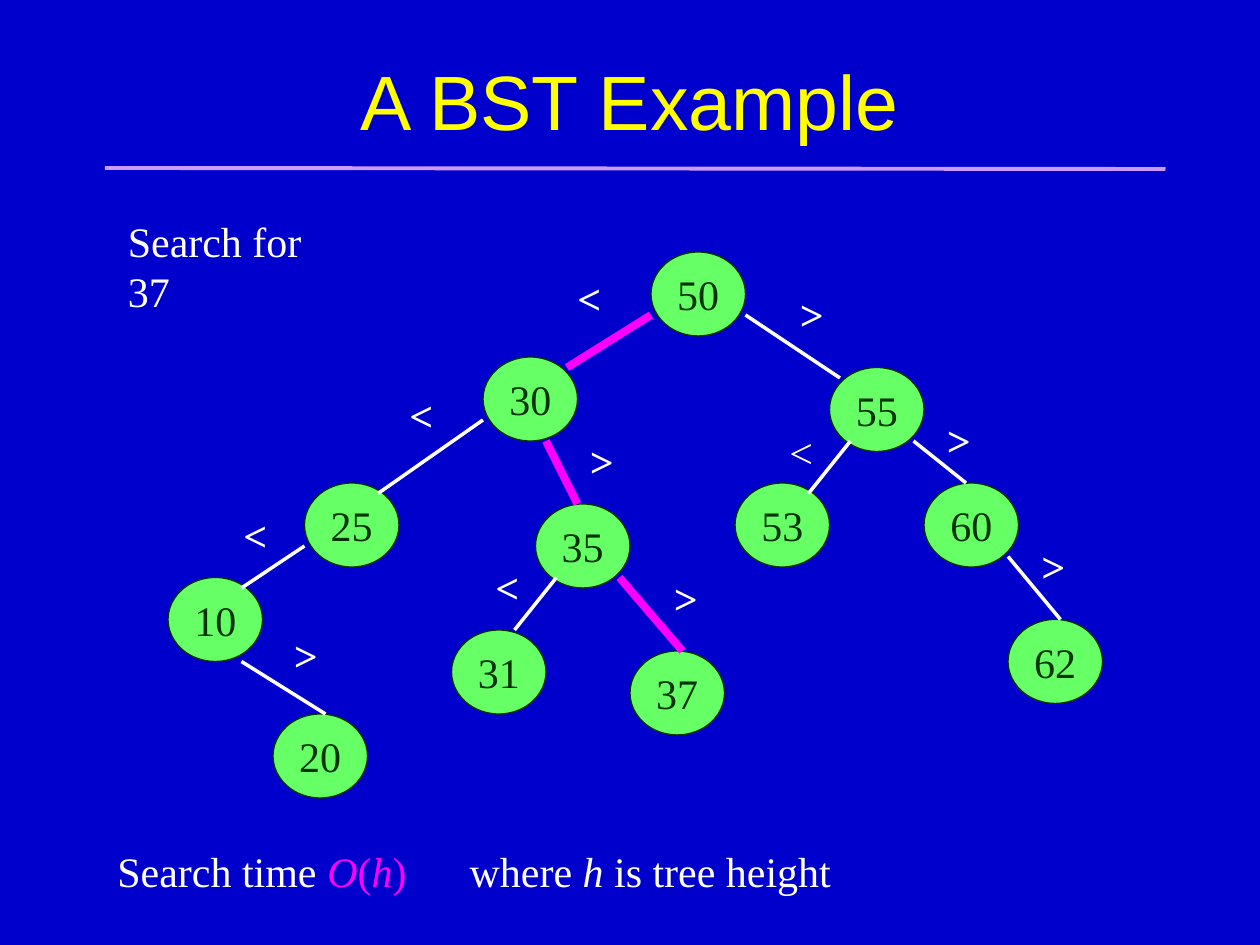
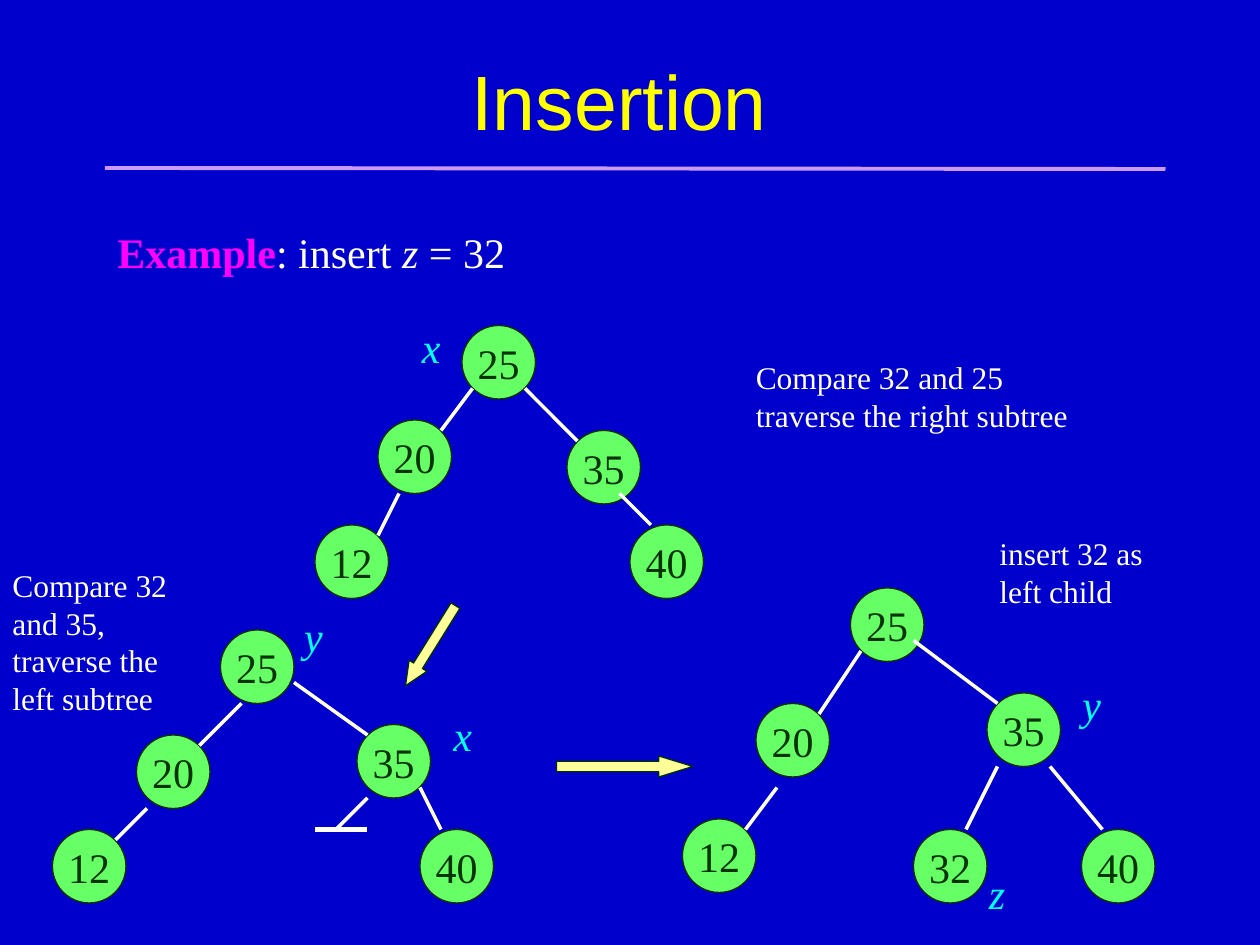
"""Builds two slides on binary search trees, placed on a grid of twelve steps to the inch."""
from dataclasses import dataclass

from lxml import etree
from pptx import Presentation
from pptx import util as u
from pptx.dml.color import RGBColor
from pptx.enum import shapes, text
from pptx.oxml.ns import qn


@dataclass(frozen=True)
class Theme:
    back: str = "0000CC"
    gold: str = "FFFF00"
    rule: str = "CC99FF"
    white: str = "FFFFFF"
    pink: str = "FF00FF"
    cyan: str = "00FFFF"
    green: str = "66FF66"
    dark: str = "003300"
    cream: str = "FFFF99"
    head: str = "Arial"
    body: str = "Times New Roman"
    big: int = 44
    mid: int = 24
    small: int = 18


T = Theme()


def rgb(code):
    return RGBColor.from_string(code)


def grid(*steps):
    return [u.Cm(n * 2.54 / 12) for n in steps]


class Deck:
    def __init__(self):
        self.prs = Presentation()
        self.prs.slide_width, self.prs.slide_height = u.Cm(25.4), u.Cm(19.05)
        fill = self.prs.slide_master.background.fill
        fill.solid()
        fill.fore_color.rgb = rgb(T.back)

    def font(self, font, size, color, face=T.body, style=""):
        font.name, font.size, font.color.rgb = face, u.Pt(size), rgb(color)
        font.bold, font.italic = "b" in style, "i" in style

    def words(self, par, runs, size, face=T.body):
        self.font(par.font, size, runs[0][1], face, runs[0][2])
        for part, color, style in runs:
            run = par.add_run()
            run.text = part
            self.font(run.font, size, color, face, style)

    def page(self, name, left):
        self.slide = self.prs.slides.add_slide(self.prs.slide_layouts[5])
        title = self.slide.shapes.title
        title.left, title.top, title.width, title.height = grid(left, 2, 102, 15)
        frame = title.text_frame
        frame.vertical_anchor = text.MSO_ANCHOR.MIDDLE
        par = frame.paragraphs[0]
        par.alignment = text.PP_ALIGN.CENTER
        self.words(par, [(name, T.gold, "")], T.big, T.head)
        self.line((10, 16, 111, 16.1), T.rule, 2.25)

    def line(self, ends, color=T.white, width=2):
        wire = self.slide.shapes.add_connector(
            shapes.MSO_CONNECTOR.STRAIGHT, *grid(*ends))
        wire.line.color.rgb, wire.line.width = rgb(color), u.Pt(width)
        etree.SubElement(wire.element.spPr, qn("a:effectLst"))

    def shape(self, kind, box, color):
        item = self.slide.shapes.add_shape(kind, *grid(*box))
        item.shadow.inherit = False
        item.fill.solid()
        item.fill.fore_color.rgb = rgb(color)
        item.line.color.rgb, item.line.width = rgb(T.dark), u.Pt(0.75)
        return item

    def node(self, key, box):
        frame = self.shape(shapes.MSO_SHAPE.OVAL, box, T.green).text_frame
        frame.margin_left = frame.margin_right = 0
        frame.word_wrap = False
        frame.vertical_anchor = text.MSO_ANCHOR.MIDDLE
        par = frame.paragraphs[0]
        par.alignment = text.PP_ALIGN.CENTER
        self.words(par, [(str(key), T.dark, "")], T.mid)

    def tree(self, nodes, edges, size):
        for key, left, top in nodes:
            self.node(key, (left, top, *size))
        for ends in edges:
            self.line(ends)

    def arrow(self, kind, box, tip, turn=0):
        item = self.shape(kind, box, T.cream)
        item.adjustments[0], item.adjustments[1] = 0.5, tip
        item.rotation = turn

    def note(self, box, rows, size=T.mid):
        frame = self.slide.shapes.add_textbox(*grid(*box)).text_frame
        frame.word_wrap = True
        for num, runs in enumerate(rows):
            par = frame.add_paragraph() if num else frame.paragraphs[0]
            self.words(par, runs, size)
        return frame

    def lines(self, box, *rows):
        self.note(box, [[(row, T.white, "")] for row in rows], T.small)

    def mark(self, sign, spot, color=T.white, style="b"):
        self.note((*spot, 5, 6), [[(sign, color, style)]])

    def tab(self, par, stop):
        props = par._p.get_or_add_pPr()
        tabs = etree.Element(qn("a:tabLst"))
        etree.SubElement(tabs, qn("a:tab"), pos=str(u.Cm(stop)), algn="l")
        props.insert(0, tabs)


def search(deck):
    deck.page("A BST Example", 9)
    nodes = [(50, 62, 24), (30, 46, 34), (25, 29, 46), (35, 51, 48),
             (10, 16, 55), (20, 26, 68), (31, 43, 60), (37, 60, 62),
             (55, 79, 35), (53, 70, 46), (60, 88, 46), (62, 96, 59)]
    edges = [(71, 30, 80, 36), (46, 40, 36, 47), (29, 52, 23, 56),
             (53, 55, 49, 60), (87, 42, 92, 46), (96, 53, 101, 59),
             (23, 63, 31, 68), (81, 42, 77, 47)]
    deck.tree(nodes, edges, (9, 8))
    for ends in [(62, 30, 54, 35), (52, 42, 55, 48), (59, 55, 65, 62)]:
        deck.line(ends, T.pink, 4.5)
    for spot in [(53.8, 25.4), (37.8, 36.5), (46, 52.9), (22, 47.9)]:
        deck.mark("<", spot)
    deck.mark("<", (74, 40), style="")
    for spot in [(26.8, 59.4), (55, 40.9), (63, 53.9), (98, 50.9),
                 (89, 38.9), (75, 26.9)]:
        deck.mark(">", spot)
    deck.note((11, 19.9, 23.3, 5.2), [[("Search for 37", T.white, "")]])
    frame = deck.note((10, 79.9, 71.3, 6), [[
        ("Search time ", T.white, ""), ("O", T.pink, "i"), ("(", T.pink, ""),
        ("h", T.pink, "i"), (")", T.pink, ""), ("\twhere ", T.white, ""),
        ("h", T.white, "i"), (" is tree height", T.white, "")]])
    deck.tab(frame.paragraphs[0], 7.1)


def insert(deck):
    deck.page("Insertion", 8)
    deck.note((10, 21, 43, 6), [[
        ("Example", T.pink, "b"), (": insert ", T.white, ""),
        ("z ", T.white, "i"), ("= 32", T.white, "")]])
    size = (7, 7)
    deck.tree([(25, 44, 31), (40, 60, 50), (20, 36, 40), (12, 30, 50), (35, 54, 41)],
              [(45, 37, 42, 41), (38, 47, 36, 51), (50, 37, 55, 42),
               (59, 47, 62, 50)], size)
    deck.tree([(40, 40, 79), (35, 34, 69), (12, 5, 79), (20, 13, 70), (25, 21, 60)],
              [(28, 65, 35, 70), (23, 67, 19, 71), (14, 77, 11, 80),
               (40, 75, 42, 79), (35, 76, 32, 79)], size)
    deck.line((30, 79, 35, 79), width=3)
    deck.tree([(32, 87, 79), (35, 94, 66), (12, 65, 78), (20, 72, 67),
               (25, 81, 56), (40, 103, 79)],
              [(95, 73, 92, 79), (82, 62, 78, 68), (74, 75, 71, 79),
               (87, 61, 95, 67), (100, 73, 105, 79)], size)
    for sign, *spot in [("x", 39, 30), ("x", 42, 67), ("y", 27.8, 57.6),
                        ("y", 101.9, 64), ("z", 93, 82)]:
        deck.mark(sign, spot, T.cyan, "i")
    deck.lines((70.8, 33.5, 35.8, 8.4), "Compare 32 and 25", "traverse the right subtree")
    deck.lines((0, 53.3, 19, 15.6),
               "Compare 32", "and 35,", "traverse the", "left subtree")
    deck.lines((94, 50.3, 18.7, 8.4), "insert 32 as", "left child")
    deck.arrow(shapes.MSO_SHAPE.DOWN_ARROW, (40, 57, 2, 9), 1.125, 31.9)
    deck.arrow(shapes.MSO_SHAPE.RIGHT_ARROW, (53, 72, 13, 2), 1.625)


deck = Deck()
search(deck)
insert(deck)
deck.prs.save("out.pptx")
